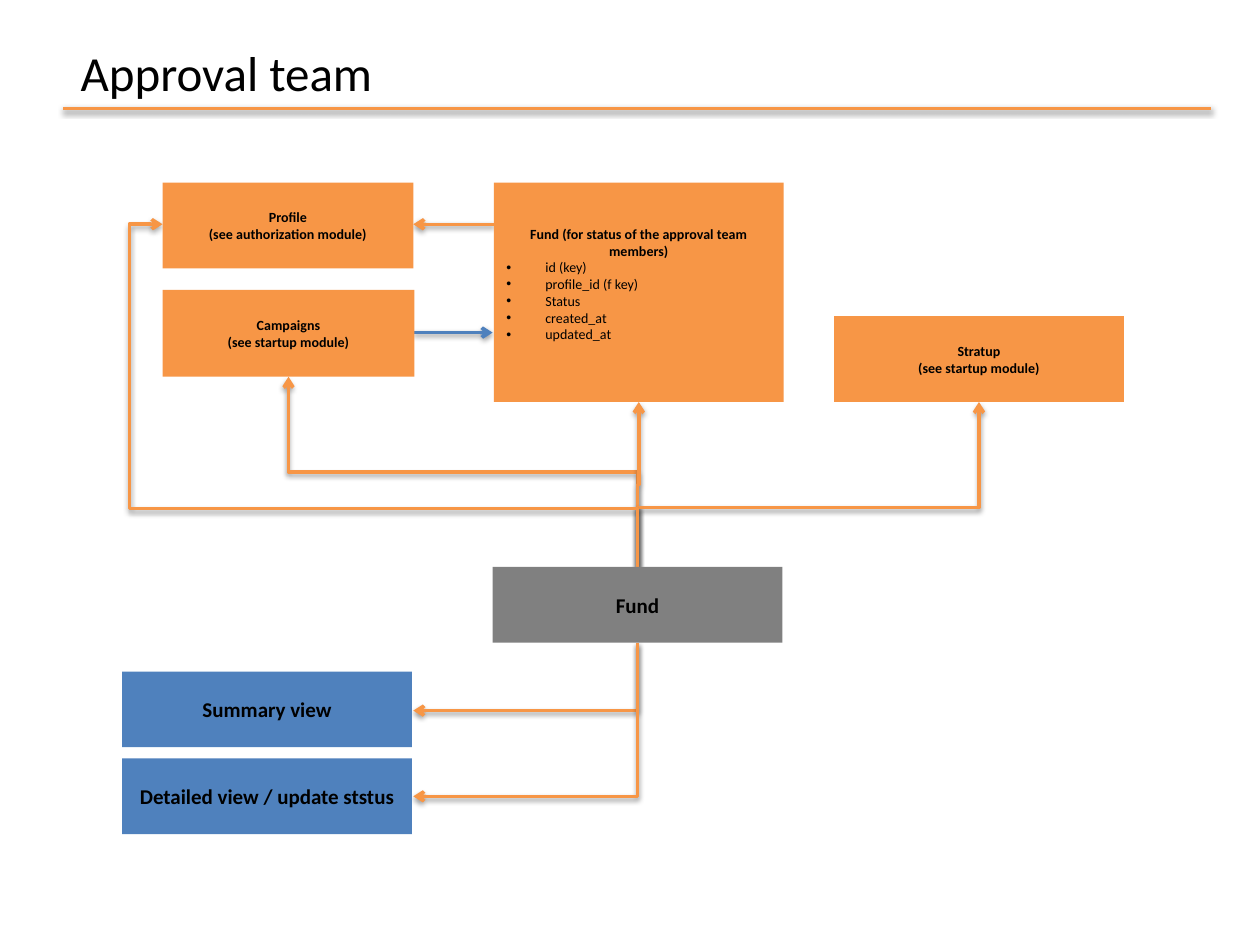
"""Build the Approval team data-model slide."""
from lxml.etree import SubElement
from pptx import Presentation
from pptx.dml.color import RGBColor
from pptx.enum.shapes import MSO_CONNECTOR as LINK, MSO_SHAPE as SHAPE
from pptx.enum.text import MSO_ANCHOR as ANCHOR, MSO_AUTO_SIZE as AUTO, PP_ALIGN as ALIGN
from pptx.oxml.ns import qn
from pptx.util import Inches, Pt

ORANGE = RGBColor(0xF7, 0x96, 0x46)
BLUE = RGBColor(0x4F, 0x81, 0xBD)
GRAY = RGBColor(0x80, 0x80, 0x80)
BLACK = RGBColor(0, 0, 0)
FONT = "Calibri"

deck = Presentation()
deck.slide_width, deck.slide_height = Inches(10), Inches(7.5)
page = deck.slides.add_slide(deck.slide_layouts[5])


def write(para, text, size, bold=False, align=ALIGN.CENTER):
    para.alignment = align
    span = para.add_run()
    span.text = text
    span.font.name, span.font.size, span.font.bold = FONT, Pt(size), bold
    span.font.color.rgb = BLACK


def link(start, end, color=ORANGE, bend=None, adjust=(), arrow=True):
    (x1, y1), (x2, y2) = start, end
    if bend:
        width, height = abs(y2 - y1), abs(x2 - x1)
        left, top = (x1 + x2 - width) / 2, (y1 + y2 - height) / 2
        x1, y1, x2, y2 = left, top, left + width, top + height
    kind = LINK.ELBOW if bend else LINK.STRAIGHT
    line = page.shapes.add_connector(kind, Inches(x1), Inches(y1), Inches(x2), Inches(y2))
    line.line.color.rgb, line.line.width = color, Pt(2)
    properties = line._element.spPr
    if bend:
        upward = end[1] < start[1]
        frame = properties.find(qn("a:xfrm"))
        frame.set("rot", str((270 if upward else 90) * 60000))
        if upward and end[0] < start[0]:
            frame.set("flipV", "1")
        geometry = properties.find(qn("a:prstGeom"))
        geometry.set("prst", bend)
        for number, value in enumerate(adjust, 1):
            SubElement(geometry.find(qn("a:avLst")), qn("a:gd"),
                       name=f"adj{number}", fmla=f"val {round(value * 100000)}")
    if arrow:
        SubElement(properties.find(qn("a:ln")), qn("a:tailEnd"), type="arrow")
    effects = SubElement(properties, qn("a:effectLst"))
    shadow = SubElement(effects, qn("a:outerShdw"), blurRad=str(Pt(3.1)),
                        dist=str(Pt(1.6)), dir="5400000", rotWithShape="0")
    shade = SubElement(shadow, qn("a:srgbClr"), val="000000")
    SubElement(shade, qn("a:alpha"), val="38000")


title = page.shapes.title
title.left, title.top, title.width, title.height = map(Inches, (0.54, 0.29, 2.56, 0.57))
title.text_frame.word_wrap = False
title.text_frame.auto_size = AUTO.NONE
title.text_frame.vertical_anchor = ANCHOR.TOP
write(title.text_frame.paragraphs[0], "Approval team", 28, align=ALIGN.LEFT)
link((0.5, 0.86), (9.61, 0.86), arrow=False)

fund_top, fund_bottom = (5.06, 4.5), (5.06, 5.1)
link(fund_top, (2.29, 2.99), bend="bentConnector3", adjust=[0.5])
link(fund_top, (5.07, 3.19), bend="bentConnector3", adjust=[0.5])
link(fund_top, (7.77, 3.19), bend="bentConnector3", adjust=[0.36])
link(fund_top, (1.29, 1.78), bend="bentConnector4", adjust=[0.17, 1.07])
for view_middle in (5.64, 6.32):
    link(fund_bottom, (3.28, view_middle), bend="bentConnector2")
link((3.28, 2.64), (3.91, 2.64), color=BLUE)
link((3.92, 1.78), (3.28, 1.78))

STATUS_FIELDS = ["id (key)", "profile_id (f key)", "Status", "created_at", "updated_at"]
BOXES = [
    (1.29, 1.45, 1.99, 0.68, ORANGE, 8, ["Profile", "(see authorization module)"], []),
    (1.29, 2.3, 2, 0.69, ORANGE, 8, ["Campaigns", "(see startup module)"], []),
    (3.92, 1.45, 2.3, 1.74, ORANGE, 8,
     ["Fund (for status of the approval team members)"], STATUS_FIELDS),
    (6.62, 2.51, 2.3, 0.68, ORANGE, 8, ["Stratup", "(see startup module)"], []),
    (3.91, 4.5, 2.3, 0.6, GRAY, 12, ["Fund"], []),
    (0.97, 5.33, 2.3, 0.6, BLUE, 12, ["Summary view"], []),
    (0.97, 6.02, 2.3, 0.6, BLUE, 12, ["Detailed view / update ststus"], []),
]
for left, top, width, height, color, size, headings, fields in BOXES:
    box = page.shapes.add_shape(SHAPE.RECTANGLE, *map(Inches, (left, top, width, height)))
    box.shadow.inherit = False
    box.fill.solid()
    box.fill.fore_color.rgb = color
    box.line.fill.background()
    frame = box.text_frame
    frame.word_wrap = True
    frame.vertical_anchor = ANCHOR.MIDDLE
    if fields:
        frame.margin_bottom = Inches(0.18)
    for index, text in enumerate(headings + fields):
        para = frame.paragraphs[0] if index == 0 else frame.add_paragraph()
        is_field = index >= len(headings)
        write(para, text, size, bold=not is_field,
              align=ALIGN.LEFT if is_field else ALIGN.CENTER)
        if is_field:
            settings = para._p.get_or_add_pPr()
            settings.set("marL", str(Inches(0.31)))
            settings.set("indent", str(Inches(-0.31)))
            SubElement(settings, qn("a:buFont"), typeface="Arial")
            SubElement(settings, qn("a:buChar"), char="•")

deck.save("out.pptx")
